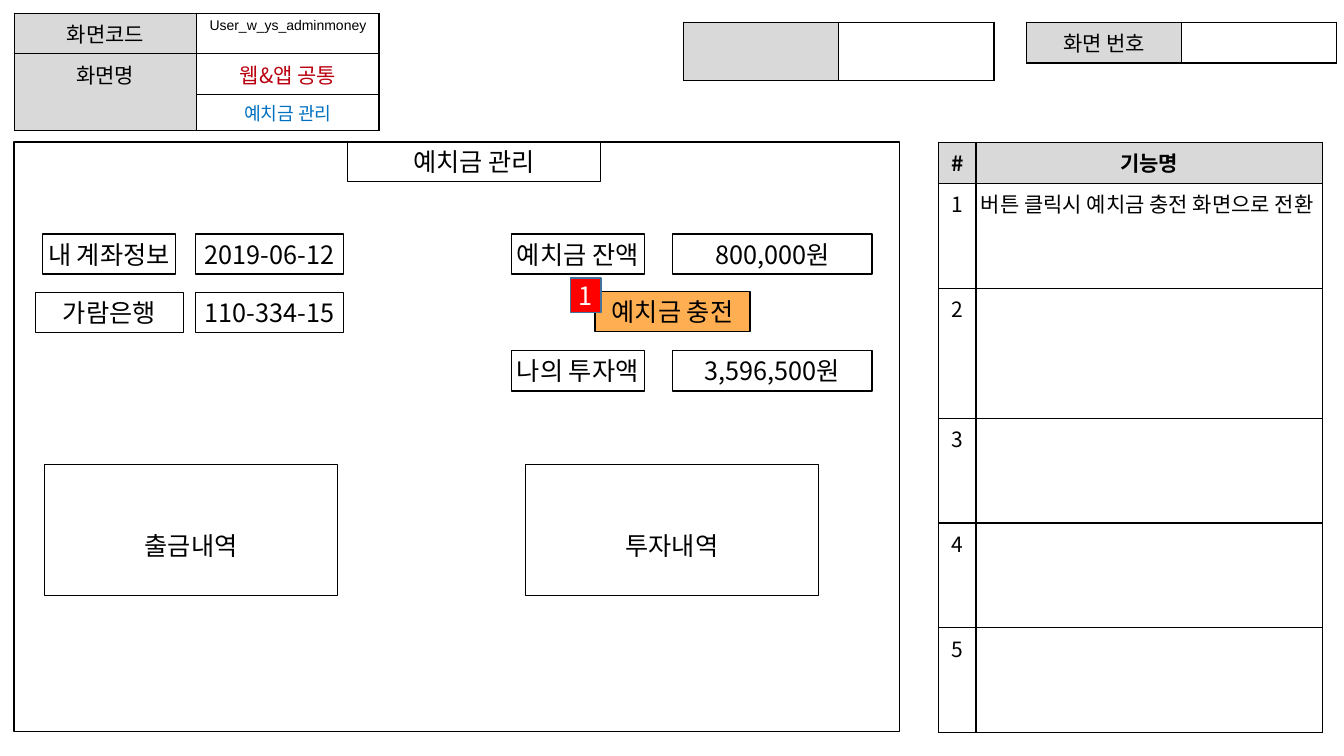
from pptx import Presentation
from pptx.dml.color import RGBColor
from pptx.enum.shapes import MSO_SHAPE as Shape
from pptx.enum.text import MSO_ANCHOR as Anchor, MSO_AUTO_SIZE as Fit, PP_ALIGN as Align
from pptx.oxml import parse_xml
from pptx.oxml.ns import nsdecls
from pptx.util import Inches, Pt

BLACK = RGBColor(0, 0, 0)
WHITE = RGBColor(255, 255, 255)
GRAY = RGBColor(0xD9, 0xD9, 0xD9)
CRIMSON = RGBColor(0xBA, 0x00, 0x10)
BLUE = RGBColor(0x00, 0x70, 0xC0)
ORANGE = RGBColor(0xFF, 0xAF, 0x52)
RED = RGBColor(255, 0, 0)
STEEL = RGBColor(0x42, 0x71, 0x9B)
FONT = "Noto Sans CJK KR"


class Screen:
    """Draw the parts of a screen plan on one slide."""

    def __init__(self, deck):
        self.slide = deck.slides.add_slide(deck.slide_layouts[5])

    def label(self, frame, text, size=18, color=BLACK, bold=False, font=FONT, align=Align.CENTER):
        frame.text = text
        line = frame.paragraphs[0]
        line.alignment = align
        for run in line.runs:
            run.font.size = Pt(size)
            run.font.bold = bold
            run.font.color.rgb = color
            run.font.name = font
            run.font._element.append(parse_xml(f'<a:ea {nsdecls("a")} typeface="{font}"/>'))

    def dress(self, shape, text, fill=None, line=BLACK, width=1, color=BLACK, drop=0):
        if fill is None:
            shape.fill.background()
        else:
            shape.fill.solid()
            shape.fill.fore_color.rgb = fill
        shape.line.color.rgb = line
        shape.line.width = Pt(width)
        frame = shape.text_frame
        frame.auto_size = Fit.NONE
        frame.word_wrap = False
        frame.vertical_anchor = Anchor.MIDDLE
        frame.margin_left = frame.margin_right = frame.margin_bottom = Inches(0.05)
        frame.margin_top = Inches(0.05 + drop)
        self.label(frame, text, color=color)

    def title(self, text, x, y, w, h):
        shape = self.slide.shapes.title
        shape.left, shape.top, shape.width, shape.height = map(Inches, (x, y, w, h))
        self.dress(shape, text, width=0.75)

    def box(self, text, x, y, w, h=0.4, **style):
        shape = self.slide.shapes.add_shape(Shape.RECTANGLE, *map(Inches, (x, y, w, h)))
        shape.shadow.inherit = False
        self.dress(shape, text, **style)

    def grid(self, x, y, cols, rows):
        size = (x, y, sum(cols), sum(rows))
        table = self.slide.shapes.add_table(len(rows), len(cols), *map(Inches, size)).table
        table.first_row = table.horz_banding = False
        for col, w in zip(table.columns, cols):
            col.width = Inches(w)
        for row, h in zip(table.rows, rows):
            row.height = Inches(h)
        for cell in table.iter_cells():
            self.cell(cell)
        return table

    def cell(self, cell):
        props = cell._tc.get_or_add_tcPr()
        for side in "LRTB":
            props.append(parse_xml(
                f'<a:ln{side} {nsdecls("a")} w="{Pt(0.96)}"><a:solidFill>'
                f'<a:srgbClr val="{BLACK}"/></a:solidFill></a:ln{side}>'))
        cell.margin_left = cell.margin_right = Inches(0.05)
        cell.margin_top = cell.margin_bottom = Inches(0.05)
        self.tint(cell, WHITE)

    def tint(self, cell, color):
        cell.fill.solid()
        cell.fill.fore_color.rgb = color

    def fill(self, cell, text, size=15, tint=WHITE, **style):
        self.tint(cell, tint)
        self.label(cell.text_frame, text, size, **style)


def main():
    deck = Presentation()
    deck.slide_width, deck.slide_height = Inches(13.33), Inches(7.5)
    screen = Screen(deck)

    info = screen.grid(0.14, 0.13, [1.81, 1.81], [0.4, 0.4, 0.36])
    info.cell(1, 0).merge(info.cell(2, 0))
    screen.fill(info.cell(0, 0), "화면코드", tint=GRAY)
    screen.fill(info.cell(1, 0), "화면명", tint=GRAY)
    code = info.cell(0, 1)
    code.margin_left = code.margin_right = Inches(0.01)
    screen.fill(code, "User_w_ys_adminmoney", 10, font="Arial")
    screen.fill(info.cell(1, 1), "웹&앱 공통", color=CRIMSON)
    screen.fill(info.cell(2, 1), "예치금 관리", 13, color=BLUE)

    for x, h, text in [(10.18, 0.4, "화면 번호"), (6.78, 0.58, "")]:
        field = screen.grid(x, 0.22, [1.54, 1.54], [h])
        screen.fill(field.cell(0, 0), text, tint=GRAY)

    notes = screen.grid(9.31, 1.41, [0.37, 3.44], [0.41, 1.04, 1.29, 1.04, 1.04, 1.04])
    for col, text in enumerate(["#", "기능명"]):
        screen.fill(notes.cell(0, col), text, tint=GRAY, bold=True)
    for row in range(1, 6):
        screen.fill(notes.cell(row, 0), str(row))
    screen.fill(notes.cell(1, 1), "버튼 클릭시 예치금 충전 화면으로 전환", align=Align.LEFT)

    screen.box("", 0.14, 1.41, 8.78, 5.85)
    screen.title("예치금 관리", 3.45, 1.4, 2.51, 0.4)
    for text, x, y, w in [
        ("내 계좌정보", 0.42, 2.32, 1.32),
        ("2019-06-12", 1.94, 2.32, 1.47),
        ("가람은행", 0.35, 2.9, 1.47),
        ("110-334-15", 1.94, 2.9, 1.47),
        ("예치금 잔액", 5.07, 2.32, 1.32),
        ("800,000원", 6.67, 2.32, 1.98),
        ("나의 투자액", 5.07, 3.48, 1.32),
        ("3,596,500원", 6.67, 3.48, 1.98),
    ]:
        screen.box(text, x, y, w)
    for text, x in [("출금내역", 0.44), ("투자내역", 5.21)]:
        screen.box(text, x, 4.61, 2.91, 1.3, drop=0.3)
    screen.box("예치금 충전", 5.9, 2.89, 1.54, fill=ORANGE)
    screen.box("1", 5.66, 2.76, 0.3, 0.34, fill=RED, line=STEEL, color=WHITE)

    deck.save("out.pptx")


if __name__ == "__main__":
    main()
